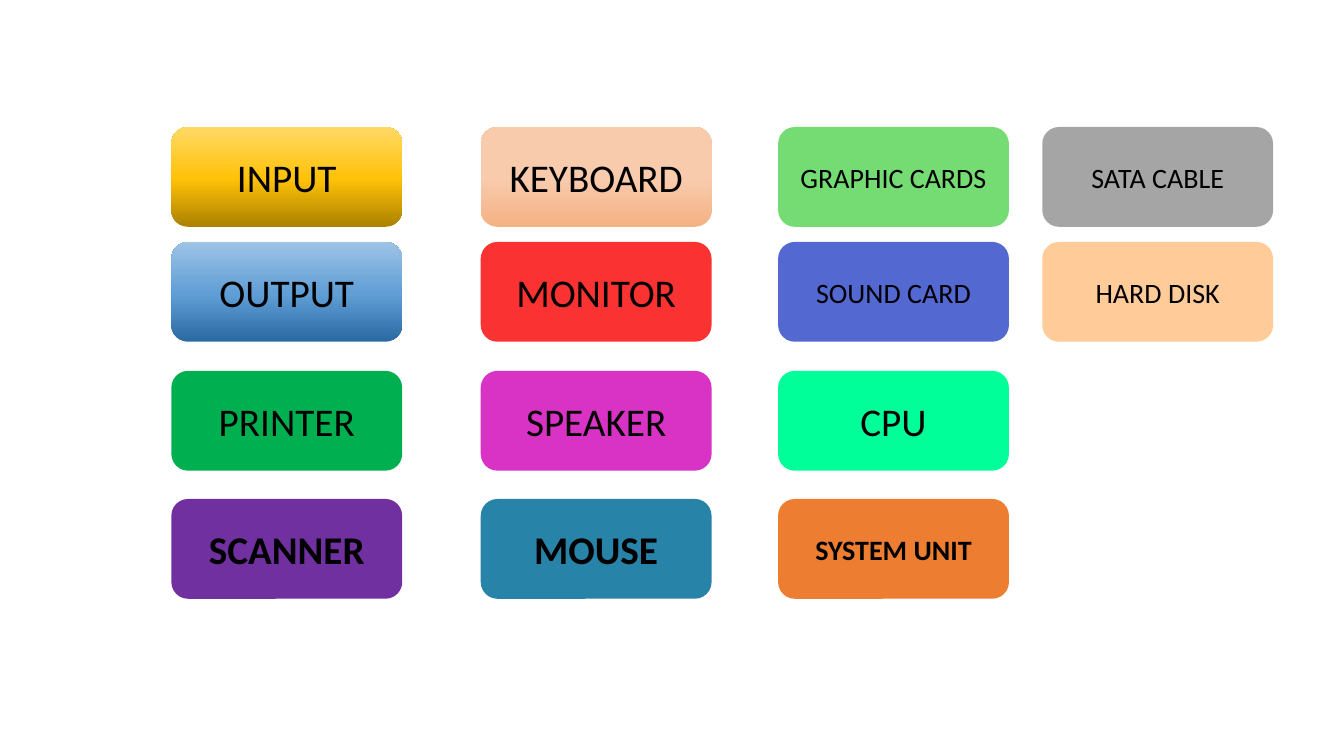
from copy import deepcopy
from dataclasses import dataclass

from pptx import Presentation
from pptx.dml.color import RGBColor as Color
from pptx.enum.shapes import MSO_SHAPE as Preset
from pptx.enum.text import MSO_ANCHOR as Anchor, PP_ALIGN as Align
from pptx.oxml.ns import qn
from pptx.util import Pt


@dataclass(frozen=True)
class Theme:
    font: str = "Calibri"
    text: str = "000000"
    large: int = 28
    small: int = 20
    # Gradients run from bottom to top
    gold: tuple = ("AB8100", "FFC208", "FFD966")
    blue: tuple = ("2A69A2", "609ED6", "9DC3E6")
    peach: tuple = ("F4B183", "F8CBAD", "F8CBAD")
    green: str = "00B050"
    purple: str = "7030A0"
    red: str = "FA3232"
    magenta: str = "D933C5"
    teal: str = "2883A8"
    light_green: str = "75DB73"
    indigo: str = "5368D1"
    mint: str = "00FF99"
    orange: str = "ED7D31"
    gray: str = "A5A5A5"
    apricot: str = "FFCC99"


THEME = Theme()
GRADIENT_STOPS = (0, 0.48, 1)

# Grid: offsets of columns and rows inside the region, and the card size
COLUMN_OFFSETS = (0, 221, 433.4, 622.1)
ROW_OFFSETS = (0, 82.1, 174.2, 265.7)
CARD_WIDTH, CARD_HEIGHT = 164.9, 71.3
BOLD_ROW = 3

# Columns of cards, top to bottom: label, fill, type size
HARDWARE_COLUMNS = (
    (("INPUT", THEME.gold, THEME.large),
     ("OUTPUT", THEME.blue, THEME.large),
     ("PRINTER", THEME.green, THEME.large),
     ("SCANNER", THEME.purple, THEME.large)),
    (("KEYBOARD", THEME.peach, THEME.large),
     ("MONITOR", THEME.red, THEME.large),
     ("SPEAKER", THEME.magenta, THEME.large),
     ("MOUSE", THEME.teal, THEME.large)),
    (("GRAPHIC CARDS", THEME.light_green, THEME.small),
     ("SOUND CARD", THEME.indigo, THEME.small),
     ("CPU", THEME.mint, THEME.large),
     ("SYSTEM UNIT", THEME.orange, THEME.small)),
    (("SATA CABLE", THEME.gray, THEME.small),
     ("HARD DISK", THEME.apricot, THEME.small)),
)


def fill_shape(shape, colors):
    """Fill with one colour, or with a three-stop vertical gradient."""
    fill = shape.fill
    if isinstance(colors, str):
        fill.solid()
        fill.fore_color.rgb = Color.from_string(colors)
        return
    fill.gradient()
    fill.gradient_angle = 90
    stop_list = shape._element.spPr.find(".//" + qn("a:gsLst"))
    stop_list.append(deepcopy(stop_list[0]))
    for stop, position, color in zip(fill.gradient_stops, GRADIENT_STOPS, colors):
        stop.position = position
        stop.color.rgb = Color.from_string(color)


def write_text(shape, text, *, size, bold=False, color=THEME.text):
    frame = shape.text_frame
    frame.word_wrap = True
    frame.vertical_anchor = Anchor.MIDDLE
    paragraph = frame.paragraphs[0]
    paragraph.alignment = Align.CENTER
    run = paragraph.add_run()
    run.text = text
    run.font.name = THEME.font
    run.font.size = Pt(size)
    run.font.bold = bold
    run.font.color.rgb = Color.from_string(color)


def add_card(slide, left, top, label, colors, size, bold):
    shape = slide.shapes.add_shape(
        Preset.ROUNDED_RECTANGLE, Pt(left), Pt(top), Pt(CARD_WIDTH), Pt(CARD_HEIGHT))
    shape.shadow.inherit = False
    shape.line.fill.background()
    fill_shape(shape, colors)
    write_text(shape, label, size=size, bold=bold)


def add_hardware_grid(slide, left, top):
    for column_offset, cards in zip(COLUMN_OFFSETS, HARDWARE_COLUMNS):
        for row, (label, colors, size) in enumerate(cards):
            add_card(slide, left + column_offset, top + ROW_OFFSETS[row],
                     label, colors, size, bold=row == BOLD_ROW)


presentation = Presentation()
presentation.slide_width, presentation.slide_height = Pt(960), Pt(540)
hardware_slide = presentation.slides.add_slide(presentation.slide_layouts[6])

# Hardware cards
add_hardware_grid(hardware_slide, left=122.4, top=90.7)

presentation.save("out.pptx")
